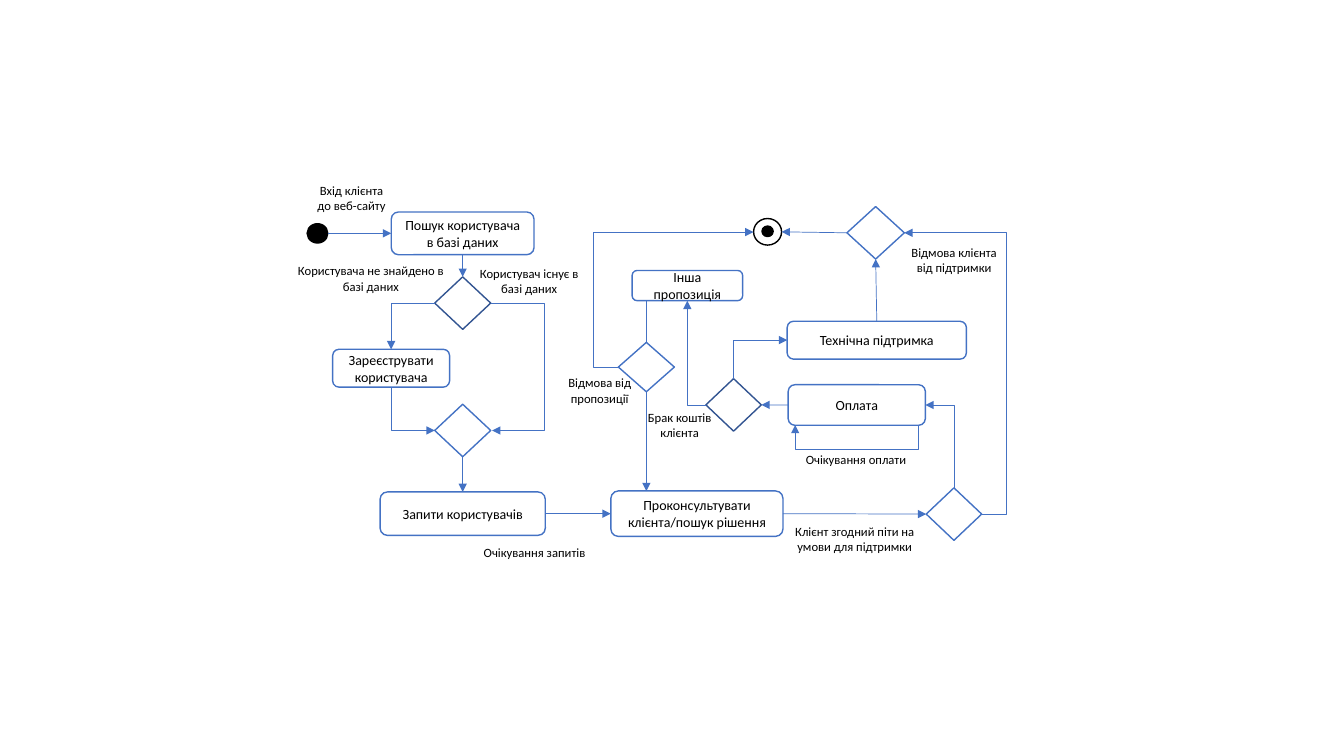
from lxml import etree
from pptx import Presentation
from pptx.dml.color import RGBColor
from pptx.enum.shapes import MSO_CONNECTOR, MSO_SHAPE
from pptx.enum.text import MSO_ANCHOR, PP_ALIGN
from pptx.oxml.ns import qn
from pptx.util import Pt

BOX, DIAMOND = MSO_SHAPE.ROUNDED_RECTANGLE, MSO_SHAPE.DIAMOND
CIRCLE, DOT = MSO_SHAPE.OVAL, MSO_SHAPE.FLOWCHART_CONNECTOR
STRAIGHT, ELBOW = MSO_CONNECTOR.STRAIGHT, MSO_CONNECTOR.ELBOW
TOP_ANCHOR, MIDDLE = MSO_ANCHOR.TOP, MSO_ANCHOR.MIDDLE
CENTER = PP_ALIGN.CENTER
TOP, LEFT, BOTTOM, RIGHT = range(4)
BLUE, NAVY, BLACK, WHITE = "4472C4", "325491", "000000", "FFFFFF"

presentation = Presentation()
presentation.slide_width, presentation.slide_height = Pt(960), Pt(540)
slide = presentation.slides.add_slide(presentation.slide_layouts[6])
nodes = {}


def write(shape, text, size, anchor):
    frame = shape.text_frame
    frame.word_wrap = True
    frame.vertical_anchor = anchor
    paragraph = frame.paragraphs[0]
    paragraph.text = text
    paragraph.alignment = CENTER
    paragraph.font.name = "Calibri"
    paragraph.font.size = Pt(size)
    paragraph.font.color.rgb = RGBColor.from_string(BLACK)


def arrow(start, end, first=None, via=None):
    """Ends are (node name, side) or (x, y); first is "h" or "v" for a bent arrow."""
    free = [[Pt(value) for value in point] if point[0] not in nodes else (0, 0)
            for point in (start, end)]
    connector = slide.shapes.add_connector(ELBOW if first else STRAIGHT, *free[0], *free[1])
    if start[0] in nodes:
        connector.begin_connect(nodes[start[0]], start[1])
    if end[0] in nodes:
        connector.end_connect(nodes[end[0]], end[1])
    connector.line.color.rgb = RGBColor.from_string(BLUE)
    connector.line.width = Pt(0.5)
    etree.SubElement(connector.line._get_or_add_ln(), qn("a:tailEnd"), type="triangle")
    properties = connector._element.spPr
    etree.SubElement(properties, qn("a:effectLst"))
    if not first:
        return
    x1, y1, x2, y2 = connector.begin_x, connector.begin_y, connector.end_x, connector.end_y
    geometry = properties.find(qn("a:prstGeom"))
    if via is None:
        geometry.set("prst", "bentConnector2")
    else:
        low, high = (x1, x2) if first == "h" else (y1, y2)
        share = round((Pt(via) - low) / (high - low) * 100000)
        guides = geometry.find(qn("a:avLst"))
        etree.SubElement(guides, qn("a:gd"), name="adj1", fmla=f"val {share}")
    if first == "v":
        # A path that starts vertically is a horizontal one turned by 90 degrees
        middle_x, middle_y = (x1 + x2) // 2, (y1 + y2) // 2
        half_x, half_y = (x2 - x1) // 2, (y2 - y1) // 2
        connector.begin_x, connector.begin_y = middle_x - half_y, middle_y + half_x
        connector.end_x, connector.end_y = middle_x + half_y, middle_y - half_x
        properties.find(qn("a:xfrm")).set("rot", "5400000")


# Arrows that run behind the nodes
arrow((656, 299), (568, 303.5), "v", 321)
arrow((461.7, 215.3), (461.7, 350.8))

# Nodes: name, kind, centre x, centre y, width, height, fill, line, text
for name, kind, x, y, width, height, fill, line, text in [
    ("search", BOX, 330.5, 166.7, 102, 30.5, WHITE, BLUE, "Пошук користувача в базі даних"),
    ("register", BOX, 279.4, 263, 83.5, 27, WHITE, BLUE, "Зареєструвати користувача"),
    ("requests", BOX, 330.5, 366.9, 118, 31, WHITE, BLUE, "Запити користувачів"),
    ("consult", BOX, 497.8, 366.9, 123, 32.5, WHITE, BLUE,
     "Проконсультувати клієнта/пошук рішення"),
    ("payment", BOX, 612, 289.3, 98, 29, WHITE, BLUE, "Оплата"),
    ("support", BOX, 626.3, 243, 128, 27, WHITE, BLUE, "Технічна підтримка"),
    ("other offer", BOX, 491, 204, 79, 21.6, WHITE, BLUE, "Інша пропозиція"),
    ("user found", DIAMOND, 330.5, 216.5, 40, 37.5, WHITE, NAVY, ""),
    ("user merge", DIAMOND, 330.5, 307.5, 40, 37.5, WHITE, BLUE, ""),
    ("funds", DIAMOND, 524, 289.2, 39.6, 37.5, WHITE, NAVY, ""),
    ("agreement", DIAMOND, 681.4, 367.2, 39.6, 37.5, WHITE, BLUE, ""),
    ("final merge", DIAMOND, 625.5, 166.3, 41, 37.5, WHITE, BLUE, ""),
    ("offer choice", DIAMOND, 461.7, 262.2, 40, 35.3, WHITE, BLUE, ""),
    ("start", DOT, 226.8, 166.7, 14.8, 13.8, BLACK, BLACK, ""),
    ("end ring", CIRCLE, 548.3, 165.6, 20, 19, WHITE, BLACK, ""),
    ("end dot", DOT, 548.3, 165.2, 8, 7.5, BLACK, BLACK, ""),
]:
    shape = slide.shapes.add_shape(
        kind, Pt(x - width / 2), Pt(y - height / 2), Pt(width), Pt(height))
    shape.shadow.inherit = False
    shape.fill.solid()
    shape.fill.fore_color.rgb = RGBColor.from_string(fill)
    shape.line.color.rgb = RGBColor.from_string(line)
    shape.line.width = Pt(1)
    if text:
        write(shape, text, 10, MIDDLE)
    nodes[name] = shape

# Straight arrows
for start, end in [
    ((234.2, 166.7), ("search", LEFT)),
    (("search", BOTTOM), ("user found", TOP)),
    (("user merge", BOTTOM), ("requests", TOP)),
    (("requests", RIGHT), ("consult", LEFT)),
    (("consult", RIGHT), ("agreement", LEFT)),
    (("payment", LEFT), ("funds", RIGHT)),
    (("support", TOP), ("final merge", BOTTOM)),
    (("final merge", LEFT), (558.3, 165.6)),
]:
    arrow(start, end)

# Bent arrows
for start, end, first, via in [
    (("user found", LEFT), ("register", TOP), "h", None),
    (("register", BOTTOM), ("user merge", LEFT), "v", None),
    (("user found", RIGHT), (351.5, 307.5), "h", 389.3),
    (("agreement", TOP), ("payment", RIGHT), "v", None),
    (("agreement", RIGHT), ("final merge", RIGHT), "h", 719),
    (("funds", TOP), ("support", LEFT), "v", None),
    (("funds", LEFT), ("other offer", BOTTOM), "h", None),
    (("offer choice", LEFT), (538.3, 165.8), "h", 423.5),
]:
    arrow(start, end, first, via)

# Labels: left, top, width, height, anchor, text
for left, top, width, height, anchor, text in [
    (217.6, 127, 67, 29, TOP_ANCHOR, "Вхід клієнта до веб-сайту"),
    (197.6, 184.5, 134.6, 29, TOP_ANCHOR, "Користувача не знайдено в базі даних"),
    (331.2, 185.8, 93.6, 30, MIDDLE, "Користувач існує в базі даних"),
    (330.8, 379.5, 102, 30, MIDDLE, "Очікування запитів"),
    (394.9, 264.5, 67, 29, TOP_ANCHOR, "Відмова від пропозиції"),
    (453.1, 292.5, 64.8, 22, MIDDLE, "Брак коштів клієнта"),
    (560.4, 313.5, 102, 30, MIDDLE, "Очікування оплати"),
    (559.4, 370.8, 102.2, 29, TOP_ANCHOR, "Клієнт згодний піти на умови для підтримки"),
    (640.1, 171.4, 82.8, 29, TOP_ANCHOR, "Відмова клієнта від підтримки"),
]:
    label = slide.shapes.add_textbox(Pt(left), Pt(top), Pt(width), Pt(height))
    write(label, text, 9, anchor)

presentation.save("out.pptx")
